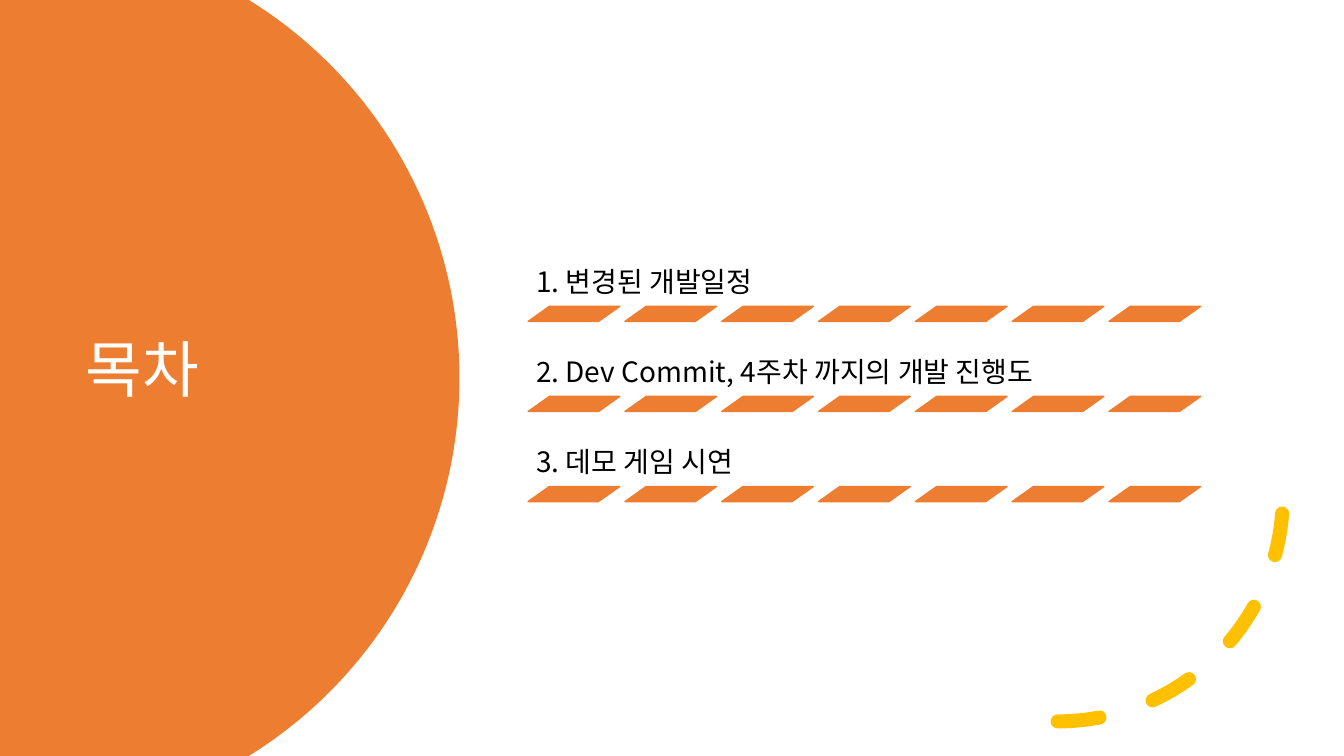
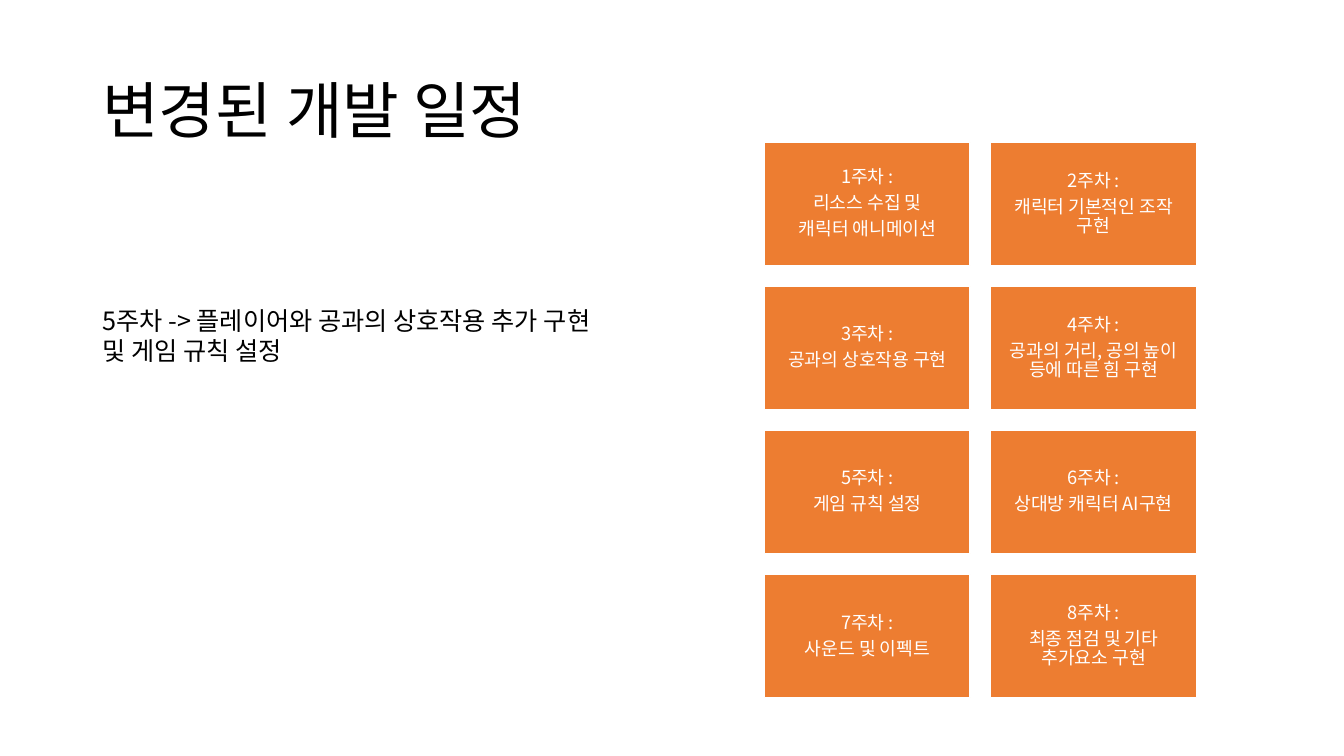
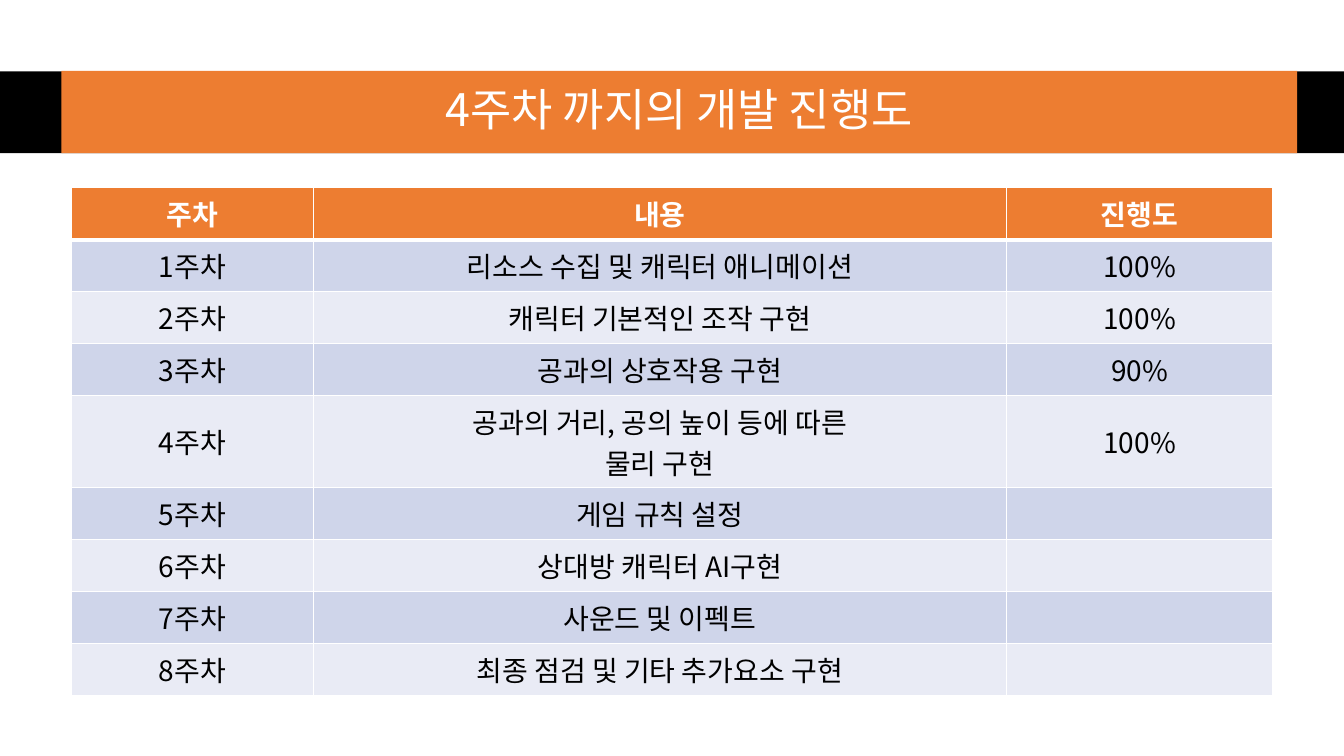
from dataclasses import dataclass
from math import asin, cos, sin
from lxml.etree import SubElement as Sub
from pptx import Presentation
from pptx.dml.color import RGBColor as RGB
from pptx.enum.dml import MSO_LINE as Dash
from pptx.enum.shapes import MSO_SHAPE as Kind
from pptx.enum.text import MSO_ANCHOR as Anchor, PP_ALIGN as Align
from pptx.oxml.ns import qn
from pptx.util import Cm, Pt


@dataclass(frozen=True)
class Theme:
    font: str = "Noto Sans CJK KR"
    main: RGB = RGB(0xED, 0x7D, 0x31)
    gold: RGB = RGB(0xFF, 0xC0, 0x00)
    white: RGB = RGB(0xFF, 0xFF, 0xFF)
    black: RGB = RGB(0, 0, 0)
    bands: tuple = (RGB(0xE9, 0xEB, 0xF5), RGB(0xCF, 0xD5, 0xEA))
    title: int = 44
    head: int = 32
    body: int = 20
    note: int = 18
    card: int = 13


T = Theme()


def write(frame, lines, size, color, align=Align.LEFT, anchor=Anchor.MIDDLE,
          space=0.9, after=0, inset=None, bold=False):
    """Fill a text frame, one paragraph per line; a newline breaks a line."""
    frame.word_wrap = True
    frame.vertical_anchor = anchor
    if inset is not None:
        frame.margin_left = frame.margin_right = Cm(inset)
        frame.margin_top = frame.margin_bottom = Cm(inset)
    for i, line in enumerate(lines):
        para = frame.paragraphs[0] if i == 0 else frame.add_paragraph()
        para.alignment = align
        para.line_spacing = space
        para.space_after = Pt(after)
        for j, part in enumerate(line.split("\n")):
            if j:
                para.add_line_break()
            run = para.add_run()
            run.text = part
            run.font.name = T.font
            run.font.size = Pt(size)
            run.font.bold = bold
            run.font.color.rgb = color
            east = Sub(run.font._element, qn("a:ea"))
            east.set("typeface", T.font)


def block(slide, kind, x, y, w, h, fill, line=None):
    """Add a flat filled shape, sized in centimetres."""
    shape = slide.shapes.add_shape(kind, Cm(x), Cm(y), Cm(w), Cm(h))
    shape.shadow.inherit = False
    shape.fill.solid()
    shape.fill.fore_color.rgb = fill
    if line is None:
        shape.line.fill.background()
    else:
        shape.line.color.rgb = line
        shape.line.width = Pt(1)
    return shape


deck = Presentation()
deck.slide_width, deck.slide_height = Cm(33.87), Cm(19.05)
blank = deck.slide_layouts[6]

# Slide 1: contents
slide = deck.slides.add_slide(blank)

# Disc cut off by the slide edges
mid, hub, rad, steps = 9.525, 0.38, 11.2, 80
edge = asin(mid / rad)
turns = [edge * (2 * i / steps - 1) for i in range(steps + 1)]
rim = [(Cm(hub + rad * cos(a)), Cm(mid + rad * sin(a))) for a in turns]
form = slide.shapes.build_freeform(0, 0)
form.add_line_segments(rim + [(0, Cm(2 * mid))], close=True)
disc = form.convert_to_shape()
disc.shadow.inherit = False
disc.fill.solid()
disc.fill.fore_color.rgb = T.main
disc.line.fill.background()

title = slide.shapes.add_textbox(Cm(1.91), Cm(3.2), Cm(8.89), Cm(12.4))
write(title.text_frame, ["목차"], T.title, T.white)

# Dashed arc
arc = slide.shapes.add_shape(Kind.ARC, Cm(20.98), Cm(6.83), Cm(11.35), Cm(11.35))
arc.shadow.inherit = False
arc.fill.background()
arc.line.color.rgb = T.gold
arc.line.width = Pt(10)
arc.line.dash_style = Dash.DASH
props = arc.element.spPr
props.find(qn("a:xfrm")).set("flipV", "1")
props.find(qn("a:ln")).set("cap", "rnd")

# Topics, each over a row of slanted bars
topics = ["1. 변경된 개발일정", "2. Dev Commit, 4주차 까지의 개발 진행도", "3. 데모 게임 시연"]
for i, topic in enumerate(topics):
    top = 6.15 + 2.27 * i
    box = slide.shapes.add_textbox(Cm(13.31), Cm(top), Cm(17.27), Cm(1.57))
    write(box.text_frame, [topic], T.body, T.black, anchor=Anchor.BOTTOM,
          after=7, inset=0.2)
    for j in range(7):
        bar = block(slide, Kind.PARALLELOGRAM, 13.31 + 2.44 * j, top + 1.57,
                    2.31, 0.38, T.main, T.main)
        bar.adjustments[0] = 1.41

# Slide 2: changed schedule
slide = deck.slides.add_slide(blank)
title = slide.shapes.add_textbox(Cm(2.33), Cm(1.01), Cm(29.21), Cm(3.68))
write(title.text_frame, ["변경된 개발 일정"], T.title, T.black)

# Week cards
weeks = [
    ["리소스 수집 및", "캐릭터 애니메이션"],
    ["캐릭터 기본적인 조작 구현"],
    ["공과의 상호작용 구현"],
    ["공과의 거리, 공의 높이 등에 따른 힘 구현"],
    ["게임 규칙 설정"],
    ["상대방 캐릭터 AI구현"],
    ["사운드 및 이펙트"],
    ["최종 점검 및 기타 추가요소 구현"],
]
for i, tasks in enumerate(weeks):
    row, col = divmod(i, 2)
    card = block(slide, Kind.RECTANGLE, 19.27 + 5.7 * col, 3.59 + 3.63 * row,
                 5.18, 3.1, T.main, T.white)
    write(card.text_frame, [f"{i + 1}주차 :"] + tasks, T.card, T.white,
          Align.CENTER, after=4.5, inset=0.13)

note = slide.shapes.add_textbox(Cm(2.33), Cm(7.57), Cm(14.5), Cm(1.8))
write(note.text_frame, ["5주차 -> 플레이어와 공과의 상호작용 추가 구현\n및 게임 규칙 설정"],
      T.note, T.black, anchor=Anchor.TOP, space=1)

# Slide 3: progress
slide = deck.slides.add_slide(blank)
block(slide, Kind.RECTANGLE, 0, 1.8, 33.87, 2.06, T.black)
head = block(slide, Kind.RECTANGLE, 1.55, 1.79, 31.14, 2.07, T.main)
write(head.text_frame, ["4주차 까지의 개발 진행도"], T.head, T.white, Align.CENTER)

# Progress table
tasks = [
    ("리소스 수집 및 캐릭터 애니메이션", "100%"),
    ("캐릭터 기본적인 조작 구현", "100%"),
    ("공과의 상호작용 구현", "90%"),
    ("공과의 거리, 공의 높이 등에 따른|물리 구현", "100%"),
    ("게임 규칙 설정", ""),
    ("상대방 캐릭터 AI구현", ""),
    ("사운드 및 이펙트", ""),
    ("최종 점검 및 기타 추가요소 구현", ""),
]
rows = [("주차", "내용", "진행도")]
rows += [(f"{i}주차", *task) for i, task in enumerate(tasks, 1)]
grid = slide.shapes.add_table(len(rows), 3, Cm(1.8), Cm(4.73), Cm(30.3), Cm(12.8)).table
for col, wide in zip(grid.columns, (6.1, 17.46, 6.72)):
    col.width = Cm(wide)
for i, row in enumerate(rows):
    grid.rows[i].height = Cm(2.32 if i == 4 else 1.31)
    for j, text in enumerate(row):
        cell = grid.cell(i, j)
        cell.vertical_anchor = Anchor.MIDDLE
        cell.margin_left = cell.margin_right = Cm(0.28)
        cell.margin_top = cell.margin_bottom = Cm(0.14)
        # White rules, thicker under the header
        for side in "LRTB":
            thick = (side, i) in (("B", 0), ("T", 1))
            rule = Sub(cell._tc.get_or_add_tcPr(), qn(f"a:ln{side}"))
            rule.set("w", str(Pt(3 if thick else 1)))
            tint = Sub(Sub(rule, qn("a:solidFill")), qn("a:srgbClr"))
            tint.set("val", str(T.white))
        cell.fill.solid()
        cell.fill.fore_color.rgb = T.bands[i % 2] if i else T.main
        if text:
            write(cell.text_frame, text.split("|"), T.body,
                  T.black if i else T.white, Align.CENTER, space=1, bold=i == 0)

deck.save("out.pptx")
